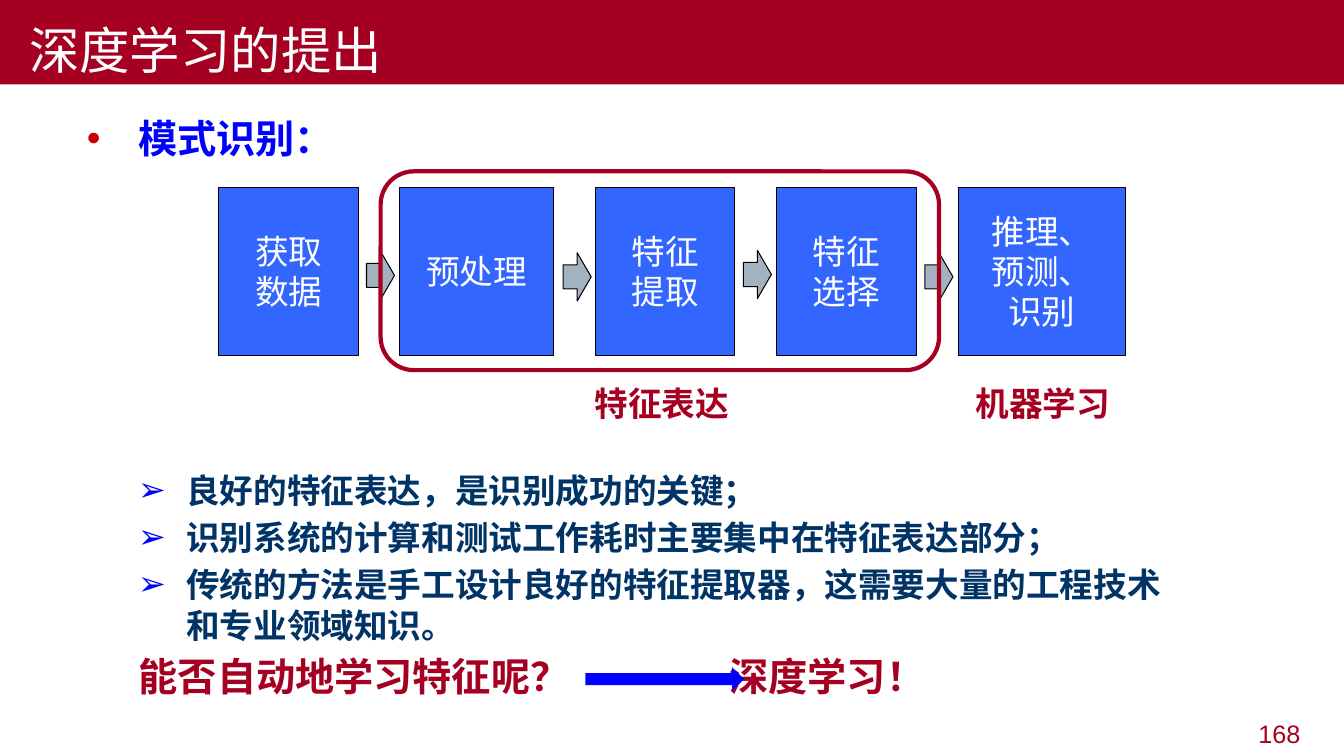
from lxml.etree import SubElement
from pptx import Presentation
from pptx.dml.color import RGBColor
from pptx.enum.shapes import MSO_SHAPE as Shape
from pptx.enum.text import MSO_ANCHOR as Anchor, PP_ALIGN as Align
from pptx.oxml.ns import qn
from pptx.util import Pt

CRIMSON, BLUE, NAVY, WHITE, BLACK = "A50021", "0000FF", "003366", "FFFFFF", "000000"


def color(text):
    return RGBColor.from_string(text)


def add_box(kind, left, top, width, height, fill=None, line=None, weight=0.75):
    area = [Pt(value) for value in (left, top, width, height)]
    if kind is None:
        box = page.shapes.add_textbox(*area)
    else:
        box = page.shapes.add_shape(kind, *area)
        box.shadow.inherit = False
        if fill:
            box.fill.solid()
            box.fill.fore_color.rgb = color(fill)
        else:
            box.fill.background()
        if line:
            box.line.color.rgb = color(line)
            box.line.width = Pt(weight)
        else:
            box.line.fill.background()
    box.text_frame.word_wrap = True
    return box


deck = Presentation()
deck.slide_width, deck.slide_height = Pt(960), Pt(540)
page = deck.slides.add_slide(deck.slide_layouts[6])

title = add_box(Shape.RECTANGLE, 0, 0, 960, 60.3, CRIMSON)
title.text_frame.vertical_anchor = Anchor.BOTTOM
topic = add_box(None, 54.9, 71.3, 765, 255.6)
number = add_box(None, 728, 509.8, 208, 28)

steps = [
    (156.2, 100, ["获取", "数据"], "Noto Sans CJK SC"),
    (285.5, 110, ["预处理"], "Noto Sans CJK SC"),
    (425.3, 99.7, ["特征", "提取"], "Arial Narrow"),
    (554.7, 100, ["特征", "选择"], "Noto Sans CJK SC"),
    (684.5, 119.5, ["推理、", "预测、", "识别"], "Noto Sans CJK SC"),
]
for left, width, lines, font in steps:
    step = add_box(Shape.RECTANGLE, left, 133.7, width, 120, "3366FF", BLACK)
    step.text_frame.vertical_anchor = Anchor.MIDDLE
    for index, line in enumerate(lines):
        para = step.text_frame.add_paragraph() if index else step.text_frame.paragraphs[0]
        para.alignment = Align.CENTER
        span = para.add_run()
        span.text = line
        span.font.size, span.font.name = Pt(24), font
        span.font.color.rgb = color(WHITE)

for left, top in [(261.8, 179.5), (402.3, 180.5), (531, 178.8), (660.7, 180.5)]:
    add_box(Shape.RIGHT_ARROW, left, top, 20, 34.5, "A3B2C1", BLACK)

frame = add_box(Shape.ROUNDED_RECTANGLE, 271.9, 122.4, 398.9, 142, line=CRIMSON, weight=3)
frame.adjustments[0] = 0.167
feature_label = add_box(None, 417.6, 270, 119, 36.4)
points = add_box(None, 54.7, 332.2, 785.5, 193)
answer = add_box(None, 514, 462.5, 170, 42)
learning_label = add_box(None, 689.8, 270, 119, 36.4)
add_box(Shape.RIGHT_ARROW, 418.2, 476.5, 113.3, 17.2, BLUE)

texts = [
    (title, "深度学习的提出", 36, "Times New Roman", WHITE, False, Align.LEFT),
    (topic, "模式识别：", 28, "Arial", BLUE, True, Align.LEFT),
    (number, "168", 18, "Arial", CRIMSON, False, Align.RIGHT),
    (feature_label, "特征表达", 24, "Times New Roman", CRIMSON, True, Align.LEFT),
    (learning_label, "机器学习", 24, "Times New Roman", CRIMSON, True, Align.LEFT),
    (points, "良好的特征表达，是识别成功的关键；", 24, "Arial", NAVY, True, Align.LEFT),
    (points, "识别系统的计算和测试工作耗时主要集中在特征表达部分；", 24, "Arial", NAVY, True, Align.LEFT),
    (points, "传统的方法是手工设计良好的特征提取器，这需要大量的工程技术和专业领域知识。",
     24, "Arial", NAVY, True, Align.LEFT),
    (points, "能否自动地学习特征呢？", 28, "Arial", CRIMSON, True, Align.LEFT),
    (answer, "深度学习！", 28, "Arial", CRIMSON, True, Align.LEFT),
]
for box, text, size, font, ink, bold, align in texts:
    para = box.text_frame.paragraphs[0]
    if para.runs:
        para = box.text_frame.add_paragraph()
        para.space_before = Pt(size * 0.2)
    para.alignment = align
    span = para.add_run()
    span.text = text
    span.font.size, span.font.name, span.font.bold = Pt(size), font, bold
    span.font.color.rgb = color(ink)

title.text_frame.paragraphs[0]._p.get_or_add_pPr().set("indent", str(Pt(13.7)))
points.text_frame.paragraphs[3]._p.get_or_add_pPr().set("marL", str(Pt(37.4)))
topic.text_frame.paragraphs[0].line_spacing = 1.2

bullets = [(topic.text_frame.paragraphs[0], 36.7, -36.7, "•", "CC0000")]
bullets += [(para, 71.3, -34.6, "➢", BLUE) for para in points.text_frame.paragraphs[:3]]
for para, margin, indent, mark, ink in bullets:
    props = para._p.get_or_add_pPr()
    props.set("marL", str(Pt(margin)))
    props.set("indent", str(Pt(indent)))
    SubElement(SubElement(props, qn("a:buClr")), qn("a:srgbClr")).set("val", ink)
    SubElement(props, qn("a:buFont")).set("typeface", "Arial")
    SubElement(props, qn("a:buChar")).set("char", mark)

deck.save("out.pptx")
